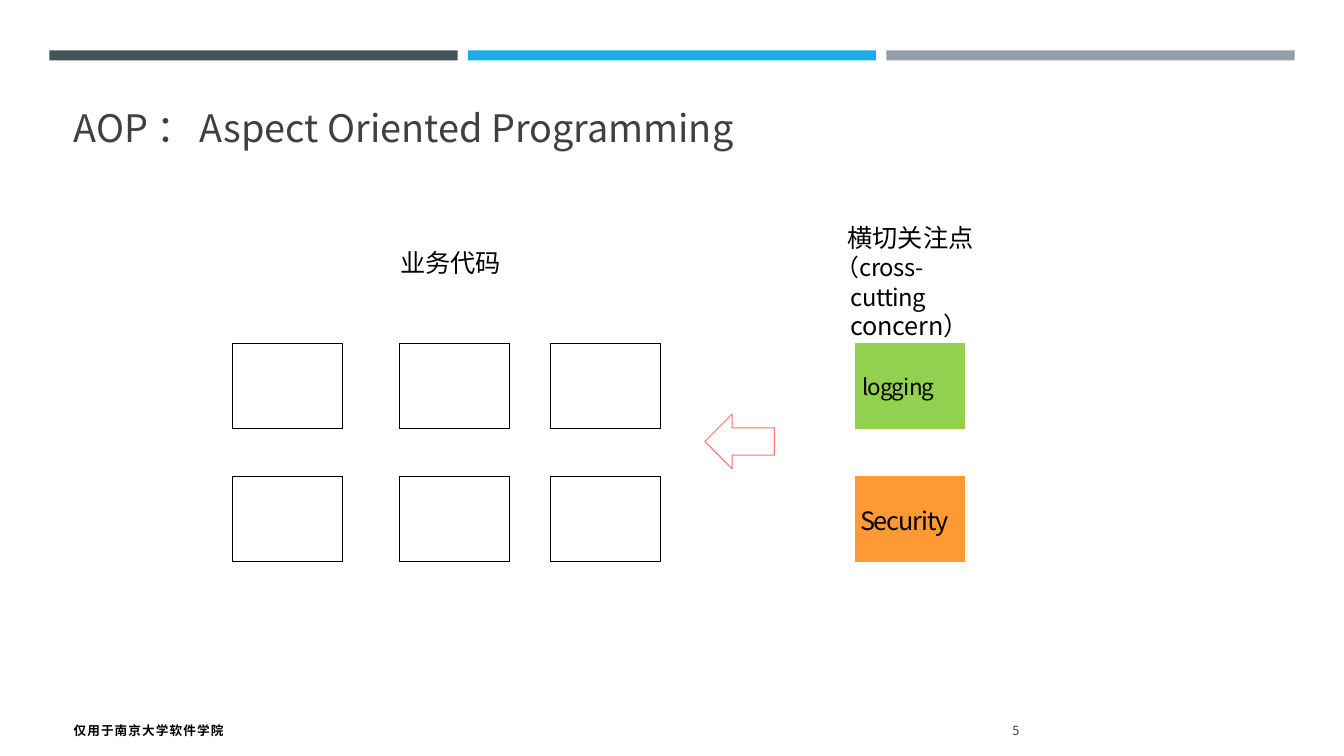
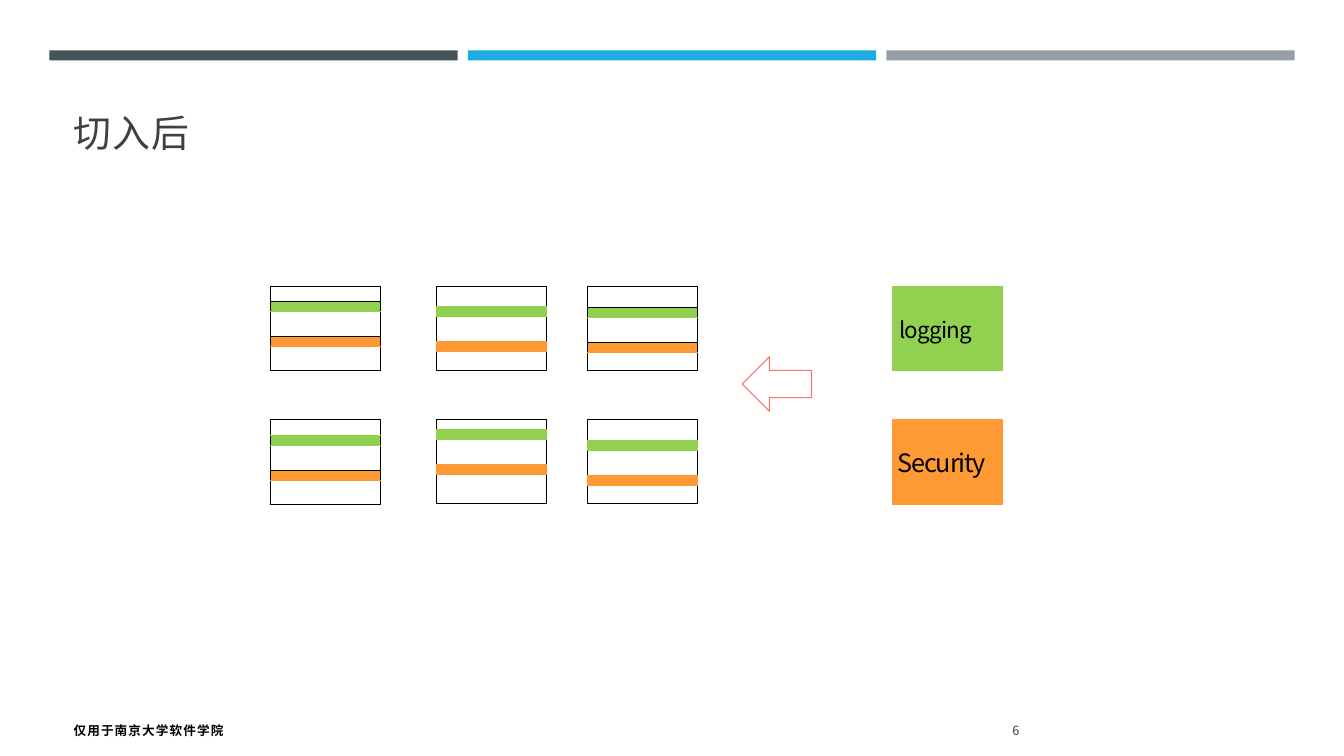
"""Two slides on aspect oriented programming: business code before and after weaving."""
from dataclasses import dataclass
from itertools import product
from typing import Optional

from lxml import etree
from pptx import Presentation
from pptx import util as u
from pptx.dml import color
from pptx.enum import shapes, text
from pptx.oxml import ns

FONT = "Noto Sans CJK SC"
BLACK, GREY, GREEN, ORANGE, RED = "000000", "404040", "92D050", "FF9933", "FF7070"
HAIRLINE = u.Pt(0.75)
BOX_W, BOX_H = 1.09, 0.84
COLUMNS, ROWS = (2.31, 3.96, 5.46), (3.41, 4.73)
CONCERN_LEFT = 8.48
BAND_H, BAND_GAP = 0.1, 0.25
AFTER_SHIFT = (0.37, -0.57)
FRAME_FORMAT = {"margin_left": 0, "margin_right": 0, "margin_top": 0, "margin_bottom": 0, "word_wrap": True}
CELL_FORMAT = {"margin_left": 0, "margin_right": 0, "margin_top": 0, "margin_bottom": 0,
               "vertical_anchor": text.MSO_ANCHOR.MIDDLE}


@dataclass(frozen=True)
class Run:
    words: str
    size: float
    spacing: float = 0
    colour: str = BLACK
    bold: bool = False


@dataclass(frozen=True)
class Para:
    runs: tuple[Run, ...]
    pitch: Optional[float] = None
    margin: float = 0
    indent: float = 0


@dataclass(frozen=True)
class Concern:
    label: Run
    colour: str
    inset: float


@dataclass(frozen=True)
class Weave:
    first_band: float
    as_table: bool = False
    first_edge: str = BLACK


@dataclass(frozen=True)
class Stripe:
    height: float
    fill: Optional[str] = None
    lower_edge: str = BLACK


TOP_BANDS = ((0.49, "465359"), (4.64, "1CADE4"), (8.79, "969FA7"))
CONCERNS = (
    Concern(Run("logging", 16, -0.6), GREEN, 0.07),
    Concern(Run("Security", 18, -0.8), ORANGE, 0.05),
)
WEAVES = (
    Weave(0.15, True), Weave(0.16, True, GREEN),
    Weave(0.2), Weave(0.1),
    Weave(0.21, True), Weave(0.21),
)


def rgb(value: str) -> color.RGBColor:
    """Turn a hex string into a colour."""
    return color.RGBColor.from_string(value)


def apply(target, values: dict) -> None:
    """Set each named attribute on the target."""
    for name, value in values.items():
        setattr(target, name, value)


def write(frame, paras: tuple[Para, ...]) -> None:
    """Fill a text frame with formatted paragraphs."""
    for index, para in enumerate(paras):
        line = frame.add_paragraph() if index else frame.paragraphs[0]
        if para.pitch:
            line.line_spacing = u.Pt(para.pitch)
        props = line._p.get_or_add_pPr()
        props.set("marL", str(u.Inches(para.margin)))
        props.set("indent", str(u.Inches(para.indent)))
        for part in para.runs:
            piece = line.add_run()
            piece.text = part.words
            apply(piece.font, {"name": FONT, "size": u.Pt(part.size), "bold": part.bold})
            piece.font.color.rgb = rgb(part.colour)
            run_props = piece.font._element
            run_props.set("spc", str(round(part.spacing * 100)))
            etree.SubElement(run_props, ns.qn("a:ea"), typeface=FONT)


def add_text(slide, left: float, top: float, width: float, height: float, *paras: Para) -> None:
    """Place a text box without insets."""
    box = slide.shapes.add_textbox(*map(u.Inches, (left, top, width, height)))
    apply(box.text_frame, FRAME_FORMAT)
    write(box.text_frame, paras)


def add_shape(slide, kind, left: float, top: float, width: float, height: float,
              fill: Optional[str] = None, line: Optional[str] = None) -> None:
    """Place a flat preset shape."""
    shape = slide.shapes.add_shape(kind, *map(u.Inches, (left, top, width, height)))
    shape.shadow.inherit = False
    paint(shape.fill, fill)
    paint(shape.line.fill, line)
    if line:
        shape.line.width = HAIRLINE


def paint(fill, colour: Optional[str]) -> None:
    """Make a fill solid, or clear it when no colour is given."""
    if colour:
        fill.solid()
        fill.fore_color.rgb = rgb(colour)
    else:
        fill.background()


def set_borders(cell, **edges: str) -> None:
    """Draw the cell borders in schema order ahead of the fill."""
    props = cell._tc.get_or_add_tcPr()
    for index, side in enumerate("LRTB"):
        edge = etree.Element(ns.qn(f"a:ln{side}"), w=str(HAIRLINE))
        solid = etree.SubElement(edge, ns.qn("a:solidFill"))
        etree.SubElement(solid, ns.qn("a:srgbClr"), val=edges[side])
        props.insert(index, edge)


def add_box(slide, left: float, top: float, stripes: tuple[Stripe, ...],
            edge: str = BLACK, label: Optional[Para] = None) -> None:
    """Place a one-column table made of horizontal stripes."""
    height = sum(stripe.height for stripe in stripes)
    table = slide.shapes.add_table(
        len(stripes), 1, *map(u.Inches, (left, top, BOX_W, height))).table
    apply(table, {"first_row": False, "horz_banding": False})
    upper = edge
    for index, stripe in enumerate(stripes):
        table.rows[index].height = u.Inches(stripe.height)
        cell = table.cell(index, 0)
        apply(cell, CELL_FORMAT)
        paint(cell.fill, stripe.fill)
        set_borders(cell, L=edge, R=edge, T=upper, B=stripe.lower_edge)
        upper = stripe.lower_edge
        if label:
            write(cell.text_frame, (label,))
        else:
            etree.SubElement(cell.text_frame.paragraphs[0]._p, ns.qn("a:endParaRPr"), sz="100")


def add_woven(slide, left: float, top: float, weave: Weave) -> None:
    """Draw a code box crossed by the two concern bands."""
    if weave.as_table:
        rest = BOX_H - weave.first_band - 2 * BAND_H - BAND_GAP
        add_box(slide, left, top, (
            Stripe(weave.first_band, None, weave.first_edge), Stripe(BAND_H, GREEN, GREEN),
            Stripe(BAND_GAP), Stripe(BAND_H, ORANGE, ORANGE), Stripe(rest)))
        return
    rectangle = shapes.MSO_SHAPE.RECTANGLE
    add_shape(slide, rectangle, left, top, BOX_W, BOX_H, line=BLACK)
    for index, concern in enumerate(CONCERNS):
        band_top = top + weave.first_band + index * (BAND_H + BAND_GAP)
        add_shape(slide, rectangle, left, band_top, BOX_W, BAND_H, concern.colour, concern.colour)


def add_frame(prs, number: int, title_top: float, *title: Run):
    """Start a slide with its bands, title and footer."""
    slide = prs.slides.add_slide(prs.slide_layouts[6])
    for left, colour in TOP_BANDS:
        add_shape(slide, shapes.MSO_SHAPE.RECTANGLE, left, 0.5, 4.05, 0.1, colour)
    add_text(slide, 0.73, title_top, 11.88, 0.46, Para(title, 32.6))
    add_text(slide, 0.73, 7.16, 4, 0.17, Para((Run("仅用于南京大学软件学院", 9, 0.8, bold=True),), 11.5))
    add_text(slide, 10.04, 7.16, 0.5, 0.17, Para((Run(str(number), 9, 0.8, GREY),), 11.5))
    return slide


def add_diagram(slide, weaves: tuple[Optional[Weave], ...], dx: float = 0, dy: float = 0) -> None:
    """Draw the code boxes, the arrow and the concerns."""
    for (left, top), weave in zip(product(COLUMNS, ROWS), weaves):
        if weave:
            add_woven(slide, left + dx, top + dy, weave)
        else:
            add_box(slide, left + dx, top + dy, (Stripe(BOX_H),))
    add_shape(slide, shapes.MSO_SHAPE.LEFT_ARROW, 6.99 + dx, 4.11 + dy, 0.69, 0.54, line=RED)
    for top, concern in zip(ROWS, CONCERNS):
        add_box(slide, CONCERN_LEFT + dx, top + dy, (Stripe(BOX_H, concern.colour, concern.colour),),
                concern.colour, Para((concern.label,), margin=concern.inset))


def main() -> None:
    """Build and save the slides."""
    prs = Presentation()
    apply(prs, {"slide_width": u.Inches(13.33), "slide_height": u.Inches(7.5)})

    before = add_frame(prs, 5, 1.04, Run("AOP ", 27, colour=GREY), Run("：", 27, 3.8, GREY),
                       Run("Aspect Oriented Programming", 27, colour=GREY))
    add_text(before, 3.97, 2.46, 1.2, 0.3, Para((Run("业务代码", 18, -0.1),), 21))
    add_text(before, 8.15, 2.21, 1.6, 1.17,
             Para((Run("横切关注点", 18, -0.1),), 21, 0.26),
             Para((Run("（cross-cutting ", 17, -0.4), Run("concern）", 18, -0.2)), 21, 0.29, -0.15))
    add_diagram(before, (None,) * len(WEAVES))

    after = add_frame(prs, 6, 1.09, Run("切入后", 27, 0.7, GREY))
    add_diagram(after, WEAVES, *AFTER_SHIFT)
    prs.save("out.pptx")


if __name__ == "__main__":
    main()
